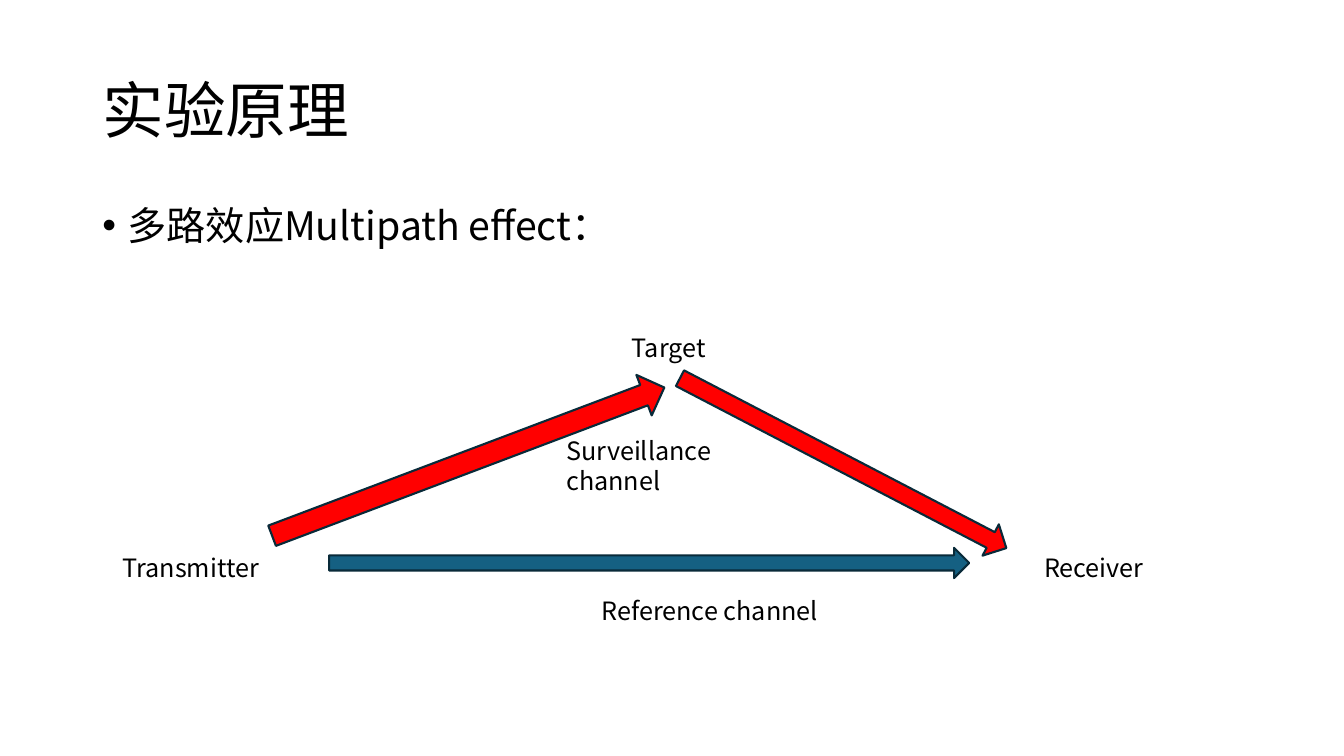
from pptx import Presentation
from pptx.dml.color import RGBColor
from pptx.enum.shapes import MSO_SHAPE
from pptx.enum.text import MSO_ANCHOR, MSO_AUTO_SIZE, PP_ALIGN
from pptx.oxml.ns import qn
from pptx.util import Pt
from lxml.etree import SubElement

FONT = "Noto Sans CJK SC"
BLACK = RGBColor(0x00, 0x00, 0x00)
RED = RGBColor(0xFF, 0x00, 0x00)
BLUE = RGBColor(0x15, 0x60, 0x82)
OUTLINE = RGBColor(0x09, 0x2A, 0x39)

LABELS = [
    ("Transmitter", 80.64, 390.96, 180),
    ("Target", 444.24, 234, 72),
    ("Receiver", 738.72, 390.96, 180),
    ("Reference channel", 422.64, 421.92, 180),
    ("Surveillance channel", 397.44, 307.44, 180),
]
ARROWS = [
    (452.88, 173.52, 21.6, 457.2, 90, BLUE),
    (318.96, 180, 30.96, 299.52, 69.3, RED),
    (589.68, 199.44, 25.2, 262.8, 117.5, RED),
]


def write(tf, text, size=18, anchor=MSO_ANCHOR.TOP, spacing=1.0, before=0):
    """Fill a text frame with one formatted, left-aligned paragraph."""
    tf.word_wrap = True
    tf.auto_size = MSO_AUTO_SIZE.NONE
    tf.vertical_anchor = anchor
    p = tf.paragraphs[0]
    p.alignment = PP_ALIGN.LEFT
    p.line_spacing = spacing
    p.space_before = Pt(before)
    r = p.add_run()
    r.text = text
    r.font.size = Pt(size)
    r.font.color.rgb = BLACK
    r.font.name = FONT
    SubElement(r.font._element, qn("a:ea"), typeface=FONT)
    return p


def place(sp, left, top, width, height):
    """Move and size a shape, in points."""
    sp.left, sp.top = Pt(left), Pt(top)
    sp.width, sp.height = Pt(width), Pt(height)


def set_bullet(p, indent):
    """Give a paragraph a round bullet with a hanging indent."""
    pPr = p._p.get_or_add_pPr()
    pPr.set("marL", str(Pt(indent)))
    pPr.set("indent", str(-Pt(indent)))
    SubElement(pPr, qn("a:buFont"), typeface="Arial")
    SubElement(pPr, qn("a:buChar"), char="•")


def add_label(slide, text, left, top, width):
    """Add a text label."""
    sp = slide.shapes.add_textbox(Pt(left), Pt(top), Pt(width), Pt(28.8))
    write(sp.text_frame, text)


def add_arrow(slide, left, top, width, height, angle, color):
    """Add a rotated, outlined block arrow."""
    sp = slide.shapes.add_shape(
        MSO_SHAPE.UP_ARROW, Pt(left), Pt(top), Pt(width), Pt(height))
    sp.rotation = angle
    sp.shadow.inherit = False
    sp.fill.solid()
    sp.fill.fore_color.rgb = color
    sp.line.color.rgb = OUTLINE
    sp.line.width = Pt(1.5)


def main():
    """Build and save the slide."""
    prs = Presentation()
    prs.slide_width, prs.slide_height = Pt(960), Pt(540)
    slide = prs.slides.add_slide(prs.slide_layouts[1])
    title, body = slide.placeholders
    place(title, 66, 28.8, 828, 104.4)
    write(title.text_frame, "实验原理", size=44, anchor=MSO_ANCHOR.MIDDLE,
          spacing=0.9)
    place(body, 66, 144, 828, 342.72)
    p = write(body.text_frame, "多路效应Multipath effect：", size=28,
              spacing=0.9, before=10)
    set_bullet(p, 18)
    for arrow in ARROWS:
        add_arrow(slide, *arrow)
    for label in LABELS:
        add_label(slide, *label)
    prs.save("out.pptx")


if __name__ == "__main__":
    main()
